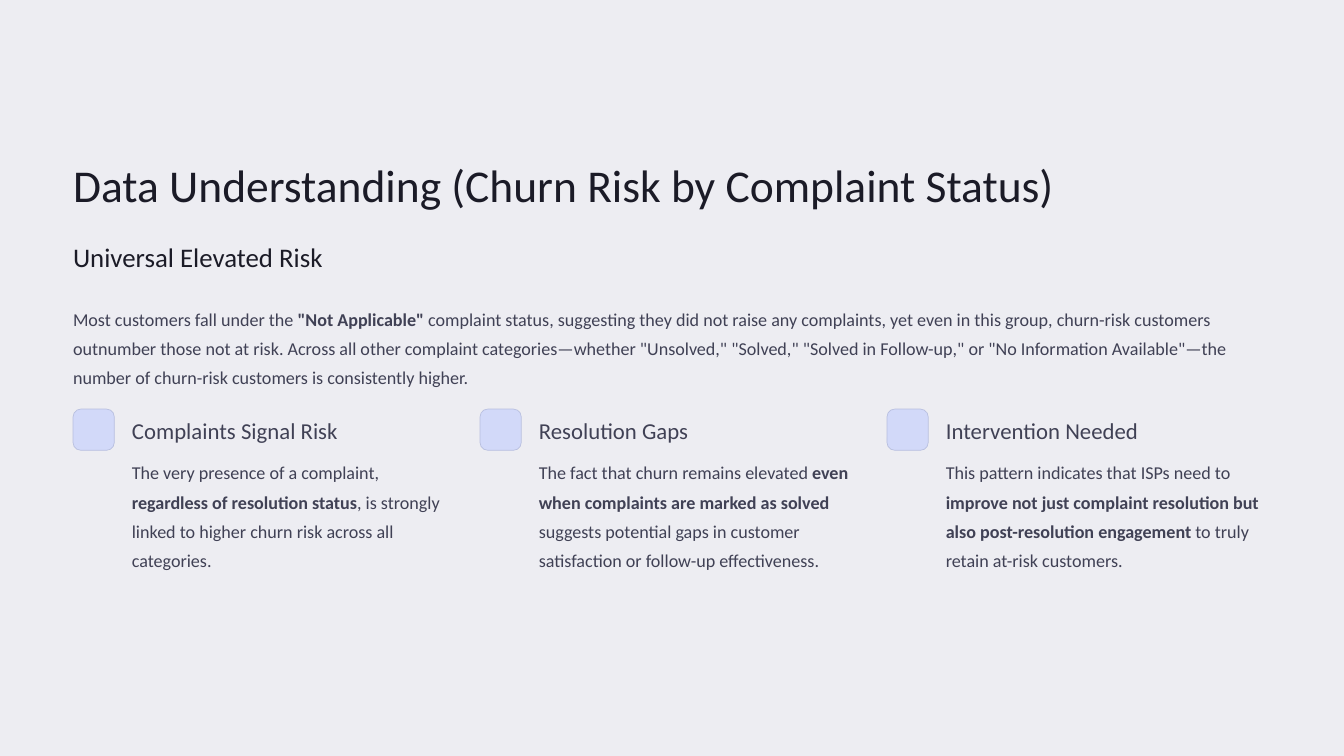
"""Build the slide on churn risk by complaint status."""
from dataclasses import dataclass

from pptx import Presentation
from pptx.dml.color import RGBColor
from pptx.enum.shapes import MSO_SHAPE
from pptx.enum.text import MSO_ANCHOR, MSO_AUTO_SIZE, PP_ALIGN
from pptx.shapes.autoshape import Shape
from pptx.slide import Slide
from pptx.util import Inches, Pt

FONT = "Calibri"
BACKGROUND, HEADING, BODY = "EDEDF2", "1B1B27", "404155"
BADGE_FILL, BADGE_LINE = "D2D9F9", "B8BFDF"
MARGIN, COLUMN_PITCH = 0.87, 4.845
BADGE_TOP, BADGE_SIZE, TEXT_INDENT = 4.87, 0.49, 0.7


@dataclass(frozen=True)
class Finding:
    heading: str
    detail: str


INTRO = (
    'Most customers fall under the **"Not Applicable"** complaint status, suggesting they '
    "did not raise any complaints, yet even in this group, churn-risk customers outnumber "
    "those not at risk. Across all other complaint categories—whether "
    '"Unsolved," "Solved," "Solved in Follow-up," or "No Information Available"—the number '
    "of churn-risk customers is consistently higher."
)
FINDINGS = [
    Finding(
        "Complaints Signal Risk",
        "The very presence of a complaint, **regardless of resolution status**, "
        "is strongly linked to higher churn risk across all categories.",
    ),
    Finding(
        "Resolution Gaps",
        "The fact that churn remains elevated **even when complaints are marked as solved** "
        "suggests potential gaps in customer satisfaction or follow-up effectiveness.",
    ),
    Finding(
        "Intervention Needed",
        "This pattern indicates that ISPs need to **improve not just complaint resolution "
        "but also post-resolution engagement** to truly retain at-risk customers.",
    ),
]


def color(value: str) -> RGBColor:
    return RGBColor.from_string(value)


def write(holder: Shape, text: str, *, size: float, leading: float,
          ink: str = BODY, wrap: bool = True) -> None:
    frame = holder.text_frame
    frame.margin_left = frame.margin_top = frame.margin_right = frame.margin_bottom = 0
    frame.auto_size = MSO_AUTO_SIZE.NONE
    frame.vertical_anchor = MSO_ANCHOR.TOP
    frame.word_wrap = wrap
    paragraph = frame.paragraphs[0]
    paragraph.alignment = PP_ALIGN.LEFT
    paragraph.line_spacing = Pt(leading)
    paragraph.space_before = Pt(0)
    for index, part in enumerate(text.split("**")):
        run = paragraph.add_run()
        run.text = part
        run.font.name = FONT
        run.font.size = Pt(size)
        run.font.bold = index % 2 == 1
        run.font.color.rgb = color(ink)


def text_area(slide: Slide, left: float, top: float, width: float, height: float) -> Shape:
    return slide.shapes.add_textbox(Inches(left), Inches(top), Inches(width), Inches(height))


def add_badge(slide: Slide, left: float) -> None:
    badge = slide.shapes.add_shape(
        MSO_SHAPE.ROUNDED_RECTANGLE,
        Inches(left), Inches(BADGE_TOP), Inches(BADGE_SIZE), Inches(BADGE_SIZE),
    )
    badge.adjustments[0] = 0.187
    badge.shadow.inherit = False
    badge.fill.solid()
    badge.fill.fore_color.rgb = color(BADGE_FILL)
    badge.line.color.rgb = color(BADGE_LINE)
    badge.line.width = Pt(0.6)


def add_finding(slide: Slide, finding: Finding, left: float) -> None:
    add_badge(slide, left)
    text_left = left + TEXT_INDENT
    write(text_area(slide, text_left, 4.95, 3.02, 0.34), finding.heading,
          size=19.5, leading=24, wrap=False)
    write(text_area(slide, text_left, 5.41, 3.87, 1.39), finding.detail,
          size=15.5, leading=25)


def main() -> None:
    deck = Presentation()
    deck.slide_width, deck.slide_height = Inches(16), Inches(9)
    slide = deck.slides.add_slide(deck.slide_layouts[5])
    slide.background.fill.solid()
    slide.background.fill.fore_color.rgb = color(BACKGROUND)

    title = slide.shapes.title
    title.left, title.top = Inches(MARGIN), Inches(1.85)
    title.width, title.height = Inches(13.92), Inches(0.68)
    write(title, "Data Understanding (Churn Risk by Complaint Status)",
          size=39, leading=48.5, ink=HEADING, wrap=False)
    write(text_area(slide, MARGIN, 2.85, 3.7, 0.41), "Universal Elevated Risk",
          size=23, leading=29, ink=HEADING, wrap=False)
    write(text_area(slide, MARGIN, 3.58, 14.26, 1.04), INTRO, size=15.5, leading=25)
    for column, finding in enumerate(FINDINGS):
        add_finding(slide, finding, MARGIN + column * COLUMN_PITCH)

    deck.save("out.pptx")


if __name__ == "__main__":
    main()
